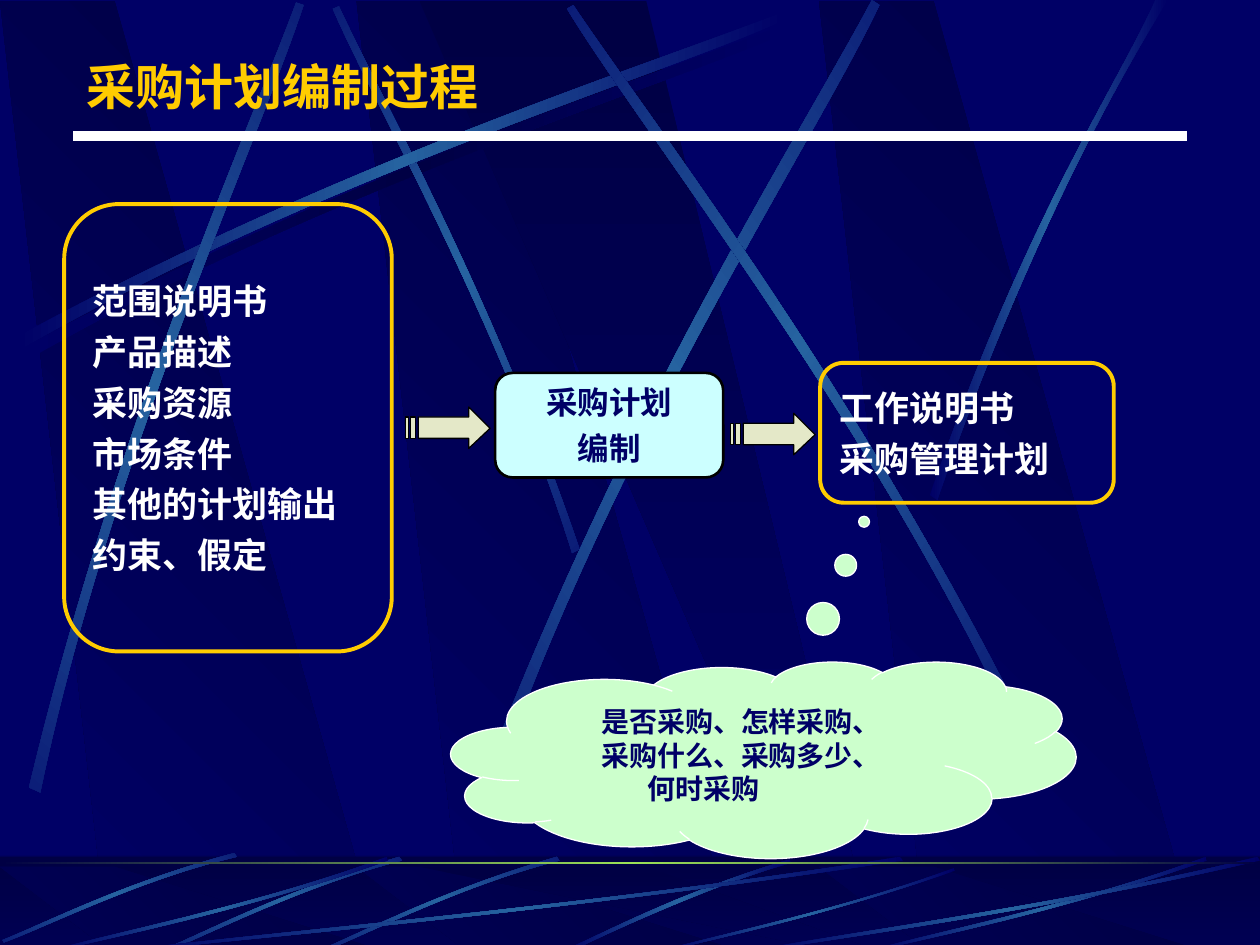
"""Build the procurement planning process slide."""
from copy import deepcopy
from dataclasses import dataclass
from math import cos, radians, sin
from typing import Optional

from lxml import etree
from pptx import Presentation
from pptx.dml.color import RGBColor
from pptx.enum.shapes import MSO_CONNECTOR, MSO_SHAPE
from pptx.enum.text import MSO_ANCHOR, MSO_AUTO_SIZE, PP_ALIGN
from pptx.oxml.ns import qn
from pptx.util import Pt

PX = 9144
NAVY = RGBColor(0x00, 0x00, 0x66)
DARK = RGBColor(0x00, 0x00, 0x44)
STREAK_BLUE = RGBColor(0x26, 0x63, 0xA0)
HORIZON_GREEN = RGBColor(0x9C, 0xE1, 0x57)
GOLD = RGBColor(0xFF, 0xCC, 0x00)
WHITE = RGBColor(0xFF, 0xFF, 0xFF)
BLACK = RGBColor(0x00, 0x00, 0x00)
PALE_CYAN = RGBColor(0xCC, 0xFF, 0xFF)
PALE_GREEN = RGBColor(0xCC, 0xFF, 0xCC)
BEIGE = RGBColor(0xE4, 0xE8, 0xC8)
RECTANGLE = MSO_SHAPE.RECTANGLE
ROUNDED = MSO_SHAPE.ROUNDED_RECTANGLE
PROCESS = MSO_SHAPE.FLOWCHART_ALTERNATE_PROCESS
CLOUD = MSO_SHAPE.CLOUD_CALLOUT
STRAIGHT = MSO_CONNECTOR.STRAIGHT
MIDDLE = MSO_ANCHOR.MIDDLE
LEFT, CENTER = PP_ALIGN.LEFT, PP_ALIGN.CENTER
NO_AUTOFIT = MSO_AUTO_SIZE.NONE


@dataclass(frozen=True)
class Streak:
    """Two cubic edges of a light beam and its rotation."""
    outer: tuple
    inner: tuple
    rotation: float = 0
    color: RGBColor = STREAK_BLUE


@dataclass(frozen=True)
class Box:
    """A preset shape holding lines of text."""
    kind: int
    frame: tuple
    lines: tuple
    size: int
    line_color: RGBColor
    line_width: float
    text_color: RGBColor
    fill: Optional[RGBColor] = None
    adjustments: tuple = ()
    font: str = "Arial"
    alignment: int = CENTER
    space_before: float = 0
    hanging: int = 0


WALL_STREAKS = (
    Streak(((20, 275), (284, 134), (524, 59), (626, 18)),
           ((629, 24), (528, 69), (254, 151), (23, 285)), color=DARK),
    Streak(((460, 436), (391, 234), (302, 77), (269, 5)),
           ((264, 7), (295, 79), (398, 258), (454, 439)), 45),
    Streak(((14, 267), (278, 125), (518, 51), (620, 10)),
           ((623, 16), (522, 61), (248, 143), (17, 277))),
    Streak(((23, 625), (93, 334), (197, 105), (235, 2)),
           ((241, 4), (207, 108), (86, 368), (32, 629)), 311.7),
    Streak(((385, 614), (498, 320), (638, 102), (692, 0)),
           ((698, 4), (649, 108), (486, 355), (394, 621)), 321.6),
    Streak(((806, 560), (670, 293), (516, 95), (455, 4)),
           ((450, 7), (507, 101), (685, 325), (799, 566)), 34.8),
    Streak(((738, 393), (814, 173), (888, 66), (917, 0)),
           ((927, 0), (836, 145), (769, 322), (744, 397))),
)
FLOOR_STREAKS = (
    Streak(((627, 682), (537, 709), (477, 742), (448, 754)),
           ((453, 755), (490, 737), (571, 700), (628, 685))),
    *(Streak(((left + 186, 680), (left + 99, 705), (left + 31, 740), (left, 753)),
             ((left + 1, 755), (left + 32, 743), (left + 109, 703), (left + 188, 683)),
             314.9) for left in (256, 131)),
    Streak(((186, 677), (99, 700), (33, 734), (2, 746)),
           ((3, 748), (34, 737), (110, 698), (188, 680)), 314.9),
    Streak(((717, 683), (449, 723), (206, 744), (103, 755)),
           ((100, 754), (202, 741), (480, 718), (714, 680))),
    *(Streak(((left + 266, 683), (left + 151, 723), (left + 46, 744), (left + 1, 755)),
             ((left, 754), (left + 44, 741), (left + 164, 718), (left + 265, 680)))
      for left in (42, 692)),
    Streak(((758, 691), (658, 726), (567, 745), (528, 755)),
           ((527, 754), (565, 743), (669, 722), (757, 689))),
    Streak(((1000, 683), (827, 723), (669, 744), (602, 755)),
           ((600, 754), (666, 741), (846, 718), (998, 680))),
)
LIST_STYLE = dict(size=20, line_color=GOLD, line_width=2.25, text_color=WHITE,
                  adjustments=(0.167,), alignment=LEFT, space_before=5, hanging=38)
BOXES = (
    Box(ROUNDED, (51, 162, 260, 355),
        ("范围说明书", "产品描述", "采购资源", "市场条件", "其他的计划输出", "约束、假定"), **LIST_STYLE),
    Box(ROUNDED, (651, 288, 233, 111), ("工作说明书", "采购管理计划"), **LIST_STYLE),
    Box(PROCESS, (393, 296, 181, 83), ("采购计划", "编制"), 18, BLACK, 1.5, NAVY,
        fill=PALE_CYAN, space_before=4.5),
    Box(CLOUD, (358, 525, 496, 156),
        ("是否采购、怎样采购、", "采购什么、采购多少、", "何时采购"), 16, WHITE, 0.75, NAVY,
        fill=PALE_GREEN, adjustments=(0.161, -1.211), font="Times New Roman"),
)
ARROW_CONTOURS = (
    ((10, 8), (50, 8), (50, 0), (67, 17), (50, 33), (50, 25), (10, 25)),
    ((0, 8), (2, 8), (2, 25), (0, 25)),
    ((4, 8), (8, 8), (8, 25), (4, 25)),
)


def emu(*lengths: float) -> list:
    """Turn px into EMU."""
    return [round(length * PX) for length in lengths]


def paint_gradient(shape, colors: tuple, angle: float) -> None:
    """Fill a borderless shape with evenly spaced gradient stops."""
    shape.shadow.inherit = False
    shape.line.fill.background()
    shape.fill.gradient()
    shape.fill.gradient_angle = angle
    stop_list = shape._element.spPr.find(qn("a:gradFill")).find(qn("a:gsLst"))
    for _ in colors[2:]:
        stop_list.append(deepcopy(stop_list[0]))
    for index, (stop, color) in enumerate(zip(shape.fill.gradient_stops, colors)):
        stop.color.rgb = color
        stop.position = index / (len(colors) - 1)


def draw_outline(slide, contours: tuple):
    """Draw closed contours as one freeform."""
    scaled = [[emu(*point) for point in contour] for contour in contours]
    builder = slide.shapes.build_freeform(*scaled[0][0], scale=1.0)
    for index, contour in enumerate(scaled):
        if index:
            builder.move_to(*contour[0])
        builder.add_line_segments(contour[1:], close=True)
    return builder.convert_to_shape()


def turn(point: tuple, degrees: float) -> tuple:
    """Rotate a point clockwise about the slide corner."""
    x, y = point
    cosine, sine = cos(radians(degrees)), sin(radians(degrees))
    return x * cosine - y * sine, x * sine + y * cosine


def draw_streak(slide, streak: Streak) -> None:
    """Draw a curved beam that fades at both ends."""
    contour = tuple(turn(point, -streak.rotation) for point in streak.outer + streak.inner)
    shape = draw_outline(slide, (contour,))
    segments = list(shape._element.spPr.iter(qn("a:lnTo")))
    for curve in (segments[0:3], segments[4:7]):
        bezier = etree.Element(qn("a:cubicBezTo"))
        curve[0].addprevious(bezier)
        for segment in curve:
            bezier.append(segment[0])
            segment.getparent().remove(segment)
    center = (shape.left + shape.width / 2, shape.top + shape.height / 2)
    center_x, center_y = turn(center, streak.rotation)
    shape.left = round(center_x - shape.width / 2)
    shape.top = round(center_y - shape.height / 2)
    shape.rotation = streak.rotation
    paint_gradient(shape, (NAVY, streak.color, NAVY), 180)


def draw_panels(slide, top: int, bottom: int) -> None:
    """Draw three slanted panels and a wedge between two heights."""
    for left in (283, 0, 650):
        panel = ((left + 86, bottom), (left + 302, bottom), (left + 91, top), (left, top))
        paint_gradient(draw_outline(slide, (panel,)), (DARK, NAVY), 225)
    wedge = ((333, top), (658, bottom), (694, bottom), (513, top))
    paint_gradient(draw_outline(slide, (wedge,)), (DARK, NAVY), 270)


def draw_backdrop(slide) -> None:
    """Draw the wall, the floor and the horizon."""
    slide.background.fill.solid()
    slide.background.fill.fore_color.rgb = NAVY
    draw_panels(slide, 1, 752)
    for streak in WALL_STREAKS:
        draw_streak(slide, streak)
    floor = slide.shapes.add_shape(RECTANGLE, *emu(0, 680, 1000, 75))
    paint_gradient(floor, (DARK, NAVY), 270)
    draw_panels(slide, 688, 754)
    veil = slide.shapes.add_shape(RECTANGLE, *emu(0, 679, 1000, 75))
    style_shape(veil, DARK)
    color = veil._element.spPr.find(qn("a:solidFill"))[0]
    etree.SubElement(color, qn("a:alpha"), val="50000")
    for streak in FLOOR_STREAKS:
        draw_streak(slide, streak)
    horizon = slide.shapes.add_shape(RECTANGLE, *emu(0, 684, 1000, 2))
    paint_gradient(horizon, (DARK, HORIZON_GREEN, DARK), 180)


def style_shape(shape, fill: Optional[RGBColor], line: Optional[RGBColor] = None,
                width: float = 0) -> None:
    """Set a plain fill and outline, where None means empty."""
    shape.shadow.inherit = False
    for target, color in ((shape.fill, fill), (shape.line.fill, line)):
        if color is None:
            target.background()
        else:
            target.solid()
            target.fore_color.rgb = color
    if line is not None:
        shape.line.width = Pt(width)


def write_line(paragraph, text: str, *, size: int, font: str, color: RGBColor,
               alignment: int = LEFT, space_before: float = 0, margin: int = 0,
               indent: int = 0) -> None:
    """Write one bold paragraph."""
    paragraph.alignment = alignment
    paragraph.space_before = Pt(space_before)
    properties = paragraph._p.get_or_add_pPr()
    properties.set("marL", str(margin * PX))
    properties.set("indent", str(indent * PX))
    run = paragraph.add_run()
    run.text = text
    run.font.size, run.font.name, run.font.bold = Pt(size), font, True
    run.font.color.rgb = color


def draw_box(slide, box: Box) -> None:
    """Draw a shape with its lines of text."""
    shape = slide.shapes.add_shape(box.kind, *emu(*box.frame))
    style_shape(shape, box.fill, box.line_color, box.line_width)
    for index, value in enumerate(box.adjustments):
        shape.adjustments[index] = value
    frame = shape.text_frame
    frame.word_wrap, frame.vertical_anchor = True, MIDDLE
    for index, text in enumerate(box.lines):
        paragraph = frame.add_paragraph() if index else frame.paragraphs[0]
        offset_line = box.kind == CLOUD and index == len(box.lines) - 1
        write_line(paragraph, text, size=box.size, font=box.font, color=box.text_color,
                   alignment=LEFT if offset_line else box.alignment,
                   space_before=box.space_before,
                   margin=78 if offset_line else box.hanging, indent=-box.hanging)


def draw_arrow(slide, left: int, top: int) -> None:
    """Draw a striped arrow pointing right."""
    contours = tuple(tuple((left + x, top + y) for x, y in contour) for contour in ARROW_CONTOURS)
    style_shape(draw_outline(slide, contours), BEIGE, BLACK, 0.75)


def draw_title(slide, text: str) -> None:
    """Place the title in front of the backdrop with a rule below."""
    title = slide.shapes.title
    title.left, title.top, title.width, title.height = emu(59, 40, 908, 57)
    slide.shapes._spTree.append(title._element)
    frame = title.text_frame
    frame.auto_size, frame.vertical_anchor = NO_AUTOFIT, MIDDLE
    write_line(frame.paragraphs[0], text, size=28, font="Montserrat", color=GOLD)
    rule = slide.shapes.add_connector(STRAIGHT, *emu(58, 108, 942, 108))
    rule.line.color.rgb, rule.line.width = WHITE, Pt(6)
    etree.SubElement(rule._element.spPr, qn("a:effectLst"))


def main() -> None:
    """Build and save the presentation."""
    presentation = Presentation()
    presentation.slide_width, presentation.slide_height = emu(1000, 750)
    slide = presentation.slides.add_slide(presentation.slide_layouts[5])
    draw_backdrop(slide)
    draw_title(slide, "采购计划编制过程")
    for box in BOXES:
        draw_box(slide, box)
    for left, top in ((322, 323), (580, 328)):
        draw_arrow(slide, left, top)
    presentation.save("out.pptx")


if __name__ == "__main__":
    main()
